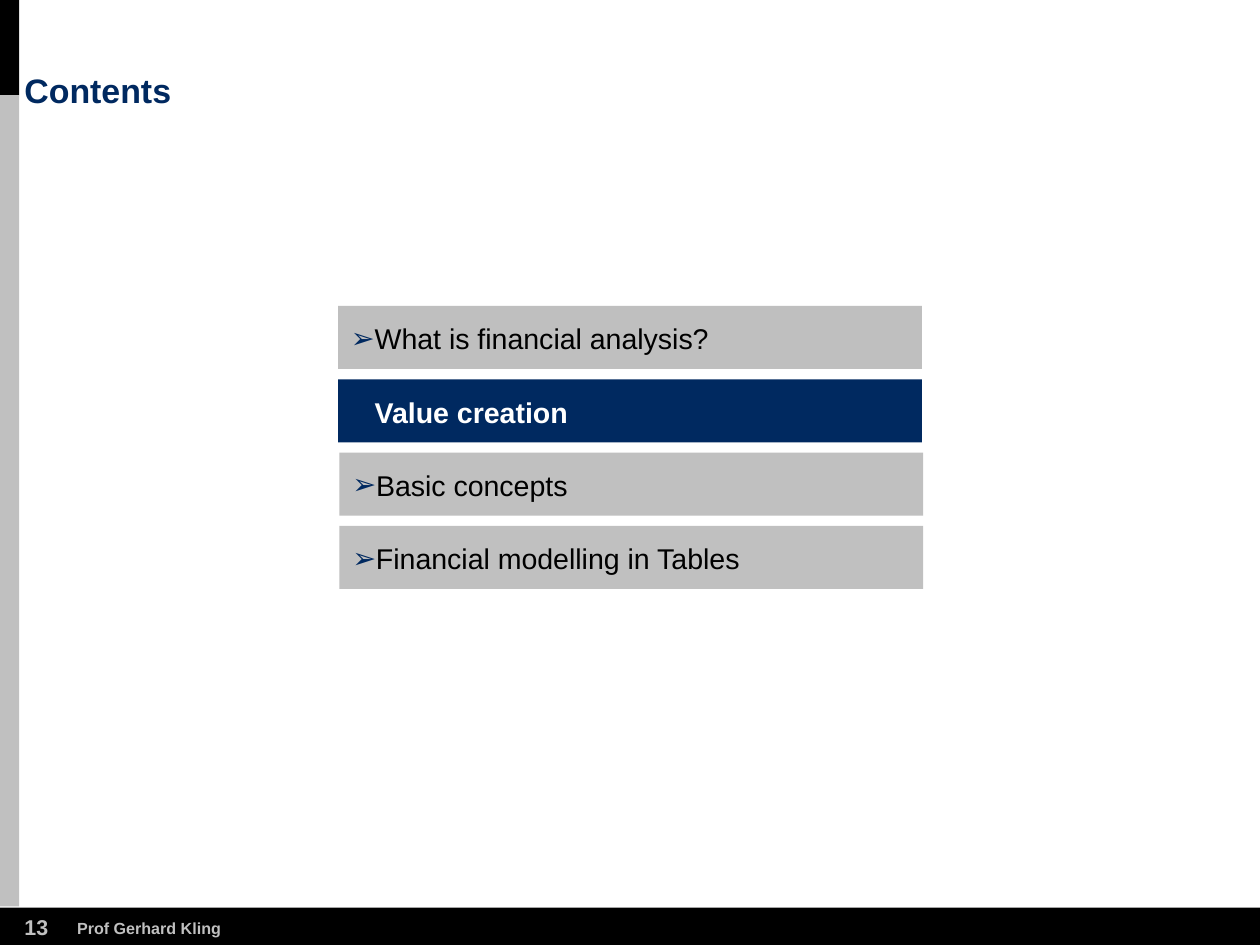
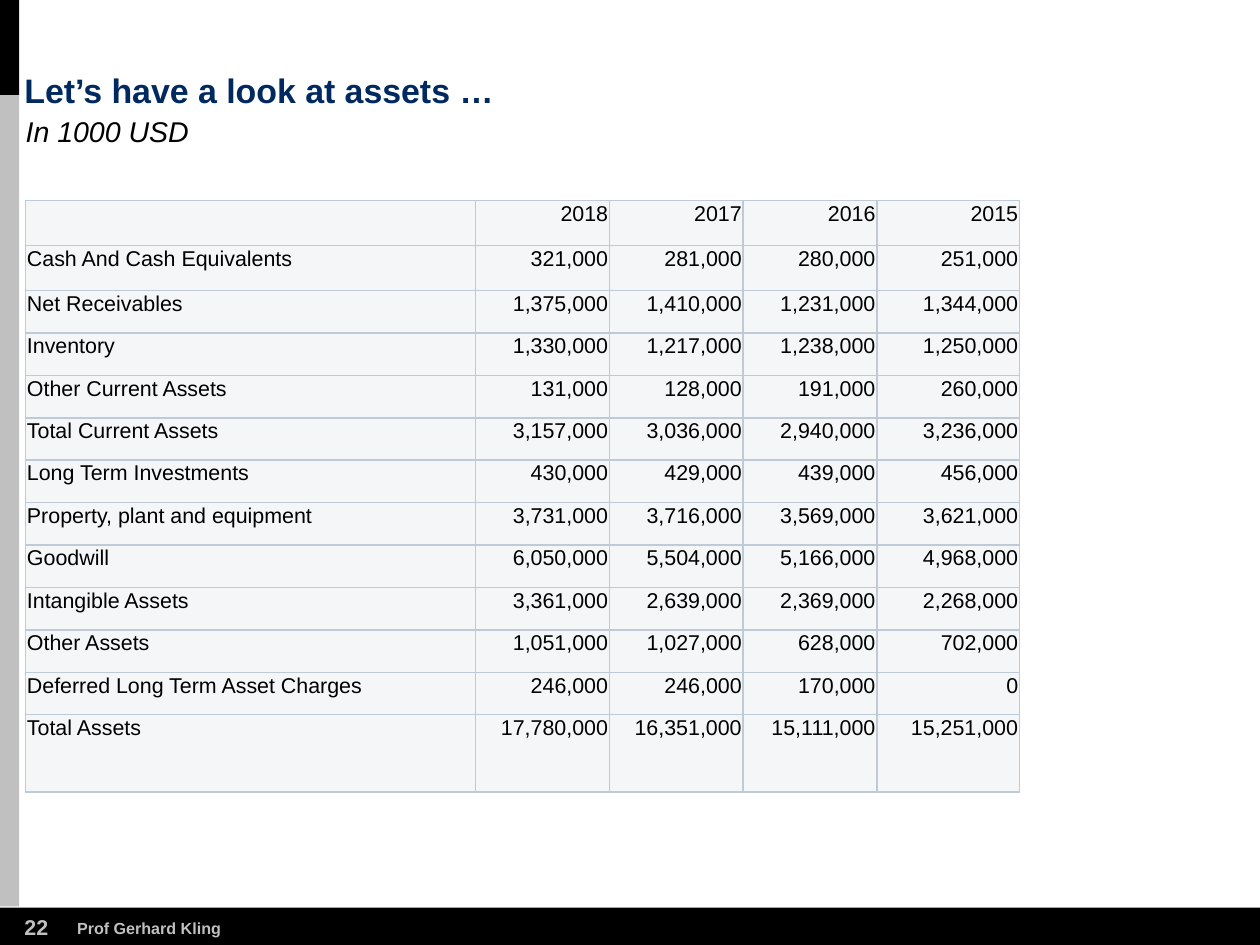
from lxml.etree import SubElement
from pptx import Presentation
from pptx.dml.color import RGBColor
from pptx.enum.shapes import MSO_SHAPE
from pptx.enum.text import MSO_ANCHOR, PP_ALIGN
from pptx.oxml.ns import qn
from pptx.util import Inches, Pt

COLOURS = {
    "black": "000000",
    "white": "FFFFFF",
    "navy": "002960",
    "grey": "C0C0C0",
    "plate": "BFBFBF",
    "cell": "F4F6F8",
    "border": "BFCAD7",
}

STYLES = {
    "title": {"size": Pt(19), "bold": True, "colour": "navy"},
    "subtitle": {"size": Pt(16), "italic": True, "colour": "black"},
    "page": {"size": Pt(12), "bold": True, "colour": "grey"},
    "author": {"size": Pt(9), "bold": True, "colour": "grey"},
    "agenda": {"size": Pt(16), "bold": False, "colour": "black"},
    "agenda_current": {"size": Pt(16), "bold": True, "colour": "white"},
    "table": {"size": Pt(12), "colour": "black"},
}

AUTHOR = "Prof Gerhard Kling"
BANDS = [
    ((0, 7.06, 9.8, 0.3), "black"),
    ((0, 0, 0.15, 0.74), "black"),
    ((0, 0.74, 0.15, 6.31), "grey"),
]

AGENDA = [
    ("What is financial analysis?", 2.63, 2.87, "plate", "agenda"),
    ("Value creation", 2.63, 1.77, "navy", "agenda_current"),
    ("Basic concepts", 2.64, 1.69, "grey", "agenda"),
    ("Financial modelling in Tables", 2.64, 2.94, "grey", "agenda"),
]
AGENDA_TOP, AGENDA_STEP = 2.38, 0.57

ASSETS = [
    ("", "2018", "2017", "2016", "2015"),
    ("Cash And Cash Equivalents", "321,000", "281,000", "280,000", "251,000"),
    ("Net Receivables", "1,375,000", "1,410,000", "1,231,000", "1,344,000"),
    ("Inventory", "1,330,000", "1,217,000", "1,238,000", "1,250,000"),
    ("Other Current Assets", "131,000", "128,000", "191,000", "260,000"),
    ("Total Current Assets", "3,157,000", "3,036,000", "2,940,000", "3,236,000"),
    ("Long Term Investments", "430,000", "429,000", "439,000", "456,000"),
    ("Property, plant and equipment", "3,731,000", "3,716,000", "3,569,000", "3,621,000"),
    ("Goodwill", "6,050,000", "5,504,000", "5,166,000", "4,968,000"),
    ("Intangible Assets", "3,361,000", "2,639,000", "2,369,000", "2,268,000"),
    ("Other Assets", "1,051,000", "1,027,000", "628,000", "702,000"),
    ("Deferred Long Term Asset Charges", "246,000", "246,000", "170,000", "0"),
    ("Total Assets", "17,780,000", "16,351,000", "15,111,000", "15,251,000"),
]
COLUMN_WIDTHS = [3.5, 1.04, 1.04, 1.04, 1.11]
ROW_HEIGHTS = [0.35] * 2 + [0.33] * 10 + [0.6]


def colour(name):
    return RGBColor.from_string(COLOURS[name])


def set_attributes(target, values):
    for name, value in values.items():
        setattr(target, name, value)


def write(frame, text, style, wrap=True, anchor=MSO_ANCHOR.TOP):
    set_attributes(frame, {
        "margin_left": 0, "margin_top": 0, "margin_right": 0, "margin_bottom": 0,
        "word_wrap": wrap, "vertical_anchor": anchor,
    })
    return write_paragraph(frame.paragraphs[0], text, style)


def write_paragraph(paragraph, text, style, alignment=PP_ALIGN.LEFT):
    paragraph.alignment = alignment
    run = paragraph.add_run()
    run.text = text
    values = dict(STYLES[style], name="Arial")
    run.font.color.rgb = colour(values.pop("colour"))
    set_attributes(run.font, values)
    return paragraph


def add_rectangle(shapes, box, fill):
    shape = shapes.add_shape(MSO_SHAPE.RECTANGLE, *map(Inches, box))
    shape.shadow.inherit = False
    shape.fill.solid()
    shape.fill.fore_color.rgb = colour(fill)
    shape.line.fill.background()
    return shape


def add_text(slide, box, text, style, **options):
    textbox = slide.shapes.add_textbox(*map(Inches, box))
    return write(textbox.text_frame, text, style, **options)


def add_bullet(paragraph):
    properties = paragraph._p.get_or_add_pPr()
    indent = Inches(0.16)
    properties.set("marL", str(indent))
    properties.set("indent", str(-indent))
    bullet_colour = SubElement(properties, qn("a:buClr"))
    SubElement(bullet_colour, qn("a:srgbClr"), val=COLOURS["navy"])
    SubElement(properties, qn("a:buFont"), typeface="Arial")
    SubElement(properties, qn("a:buChar"), char="➢")


def add_borders(cell):
    properties = cell._tc.get_or_add_tcPr()
    for side in ("lnL", "lnR", "lnT", "lnB"):
        line = SubElement(properties, qn(f"a:{side}"), w=str(Pt(1)))
        fill = SubElement(line, qn("a:solidFill"))
        SubElement(fill, qn("a:srgbClr"), val=COLOURS["border"])


def add_base_slide(presentation, title, page):
    slide = presentation.slides.add_slide(presentation.slide_layouts[6])
    for box, fill in BANDS:
        add_rectangle(slide.shapes, box, fill)
    add_text(slide, (0.19, 7.11, 0.2, 0.2), page, "page", wrap=False)
    add_text(slide, (0.6, 7.14, 1.13, 0.15), AUTHOR, "author", wrap=False)
    heading = add_text(slide, (0.19, 0.58, 8.38, 0.28), title, "title", anchor=MSO_ANCHOR.BOTTOM)
    heading.line_spacing = 0.9
    return slide


def add_agenda(slide):
    for index, (text, left, width, fill, style) in enumerate(AGENDA):
        top = AGENDA_TOP + index * AGENDA_STEP
        group = slide.shapes.add_group_shape()
        add_rectangle(group.shapes, (left, top, 4.54, 0.49), fill)
        label = add_rectangle(group.shapes, (left + 0.1, top + 0.12, width, 0.27), fill)
        add_bullet(write(label.text_frame, text, style, wrap=False))


def add_assets_table(slide):
    box = (0.2, 1.56, sum(COLUMN_WIDTHS), sum(ROW_HEIGHTS))
    table = slide.shapes.add_table(len(ASSETS), len(COLUMN_WIDTHS), *map(Inches, box)).table
    for column, width in zip(table.columns, COLUMN_WIDTHS):
        column.width = Inches(width)
    for row, height, values in zip(table.rows, ROW_HEIGHTS, ASSETS):
        row.height = Inches(height)
        for index, (cell, text) in enumerate(zip(row.cells, values)):
            margin = Inches(0.01)
            set_attributes(cell, {
                "margin_left": margin, "margin_top": margin,
                "margin_right": margin, "margin_bottom": 0,
            })
            add_borders(cell)
            cell.fill.solid()
            cell.fill.fore_color.rgb = colour("cell")
            if text:
                alignment = PP_ALIGN.RIGHT if index else PP_ALIGN.LEFT
                write_paragraph(cell.text_frame.paragraphs[0], text, "table", alignment)


def main():
    presentation = Presentation()
    presentation.slide_width = Inches(9.8)
    presentation.slide_height = Inches(7.35)

    add_agenda(add_base_slide(presentation, "Contents", "13"))

    assets_slide = add_base_slide(presentation, "Let’s have a look at assets …", "22")
    add_text(assets_slide, (0.2, 0.89, 9.43, 0.27), "In 1000 USD", "subtitle")
    add_assets_table(assets_slide)

    presentation.save("out.pptx")


if __name__ == "__main__":
    main()
